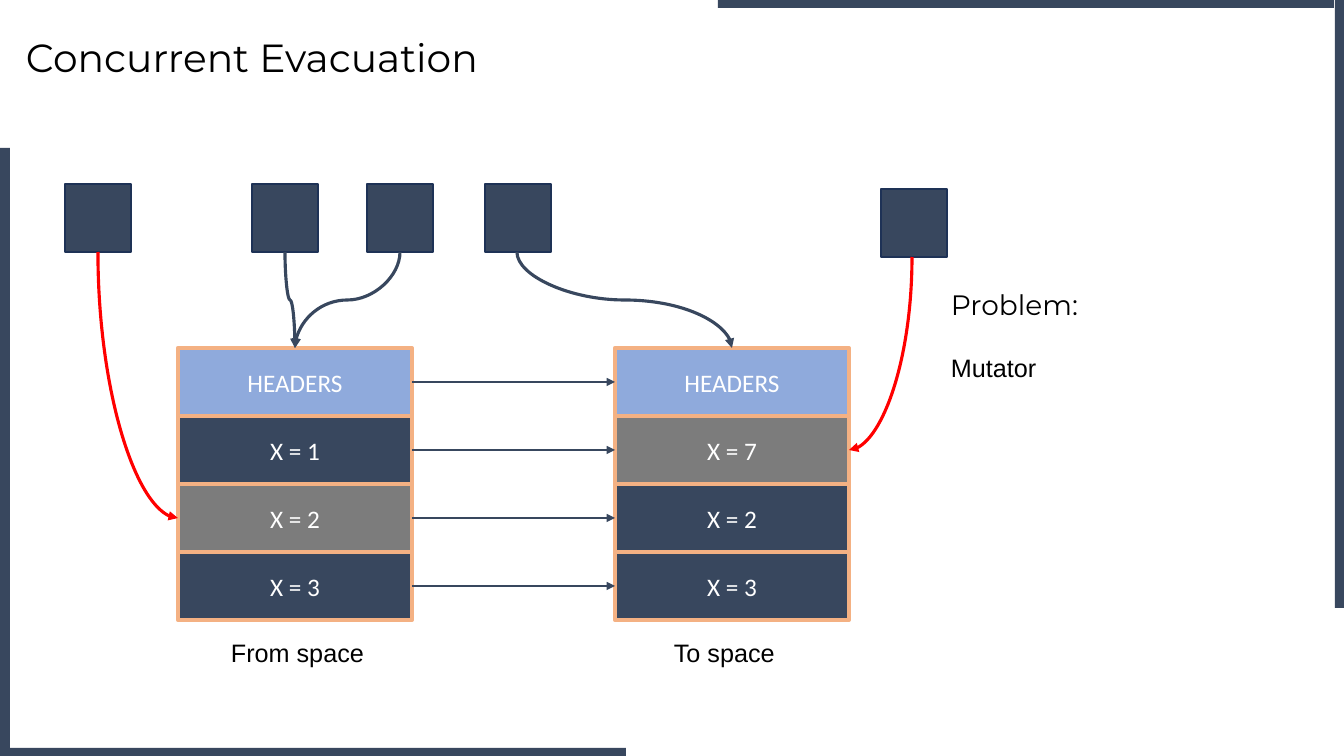
from lxml import etree
from pptx import Presentation
from pptx import util as u
from pptx.dml.color import RGBColor
from pptx.enum import shapes, text
from pptx.oxml.ns import qn

HUES = {
    "navy": "38475E", "edge": "1E3256", "head": "8FAADC", "gray": "7C7C7C",
    "peach": "F4B183", "red": "FF0000", "black": "000000", "white": "FFFFFF",
}


def px(n):
    return u.Emu(round(n * 12192000 / 1344))


def hue(name):
    return RGBColor.from_string(HUES[name])


class Board:
    def __init__(self, slide):
        self.items = slide.shapes

    def style(self, para, size, font, color):
        for run in para.runs:
            run.font.size = u.Pt(size)
            run.font.name = font
            run.font.color.rgb = hue(color)

    def rect(self, x, y, w, h, fill="navy", line=None, width=1, label=""):
        box = self.items.add_shape(shapes.MSO_SHAPE.RECTANGLE, px(x), px(y), px(w), px(h))
        box.shadow.inherit = False
        box.fill.solid()
        box.fill.fore_color.rgb = hue(fill)
        if line:
            box.line.color.rgb = hue(line)
            box.line.width = u.Pt(width)
        else:
            box.line.fill.background()
        if label:
            frame = box.text_frame
            frame.text = label
            frame.vertical_anchor = text.MSO_ANCHOR.MIDDLE
            para = frame.paragraphs[0]
            para.alignment = text.PP_ALIGN.CENTER
            self.style(para, 18, "Calibri", "white")

    def note(self, x, y, w, h, lines, gap=0, wrap=True):
        box = self.items.add_textbox(px(x), px(y), px(w), px(h))
        frame = box.text_frame
        frame.word_wrap = wrap
        frame.auto_size = text.MSO_AUTO_SIZE.SHAPE_TO_FIT_TEXT
        frame.text = "\n".join(line[0] for line in lines)
        for para, (_, size, font) in zip(frame.paragraphs, lines):
            self.style(para, size, font, "black")
        for para in frame.paragraphs[1:]:
            para.space_before = u.Pt(gap)

    def arrow(self, kind, x1, y1, x2, y2, color, width):
        link = self.items.add_connector(kind, px(x1), px(y1), px(x2), px(y2))
        link.line.color.rgb = hue(color)
        link.line.width = u.Pt(width)
        props = link._element.spPr
        etree.SubElement(props.find(qn("a:ln")), qn("a:tailEnd"), type="triangle")
        etree.SubElement(props, qn("a:effectLst"))
        return props

    def curve(self, x1, y1, x2, y2, color="navy", bend="curvedConnector3"):
        mid, level = (x1 + x2) / 2, (y1 + y2) / 2
        reach, rise = (y2 - y1) / 2, abs(x2 - x1) / 2
        side = 1 if x2 > x1 else -1
        props = self.arrow(
            shapes.MSO_CONNECTOR.CURVE, mid + side * reach, level - rise,
            mid - side * reach, level + rise, color, 2.25)
        turn = 270 if side > 0 else 90
        props.find(qn("a:xfrm")).set("rot", str(turn * 60000))
        props.find(qn("a:prstGeom")).set("prst", bend)

    def stack(self, x, cells):
        self.rect(x, TOP, WIDE, ROW * len(cells), line="edge")
        for i, (label, fill) in enumerate(cells):
            self.rect(x, TOP + i * ROW, WIDE, ROW, fill, "peach", 3, label)


TOP, ROW, WIDE = 348, 68, 234
FROM, TO = 178, 615


def main():
    deck = Presentation()
    deck.slide_width, deck.slide_height = px(1344), px(756)
    board = Board(deck.slides.add_slide(deck.slide_layouts[6]))

    board.note(16, 28, 833, 57, [("Concurrent Evacuation", 28, "Montserrat")])
    for bar in [(-6, 148, 16, 616), (10, 748, 616, 16),
                (1335, -8, 16, 616), (718, -8, 616, 16)]:
        board.rect(*bar)

    board.stack(FROM, [("HEADERS", "head"), ("X = 1", "navy"),
                       ("X = 2", "gray"), ("X = 3", "navy")])
    board.stack(TO, [("HEADERS", "head"), ("X = 7", "gray"),
                     ("X = 2", "navy"), ("X = 3", "navy")])
    for i in range(4):
        y = TOP + ROW * i + ROW // 2
        board.arrow(shapes.MSO_CONNECTOR.STRAIGHT, FROM + WIDE, y, TO, y, "navy", 1.5)

    for x, y in [(65, 184), (252, 184), (367, 184), (485, 184), (881, 189)]:
        board.rect(x, y, 66, 68, line="edge")
    for x, end in [(400, 295), (285, 295), (517, 732)]:
        board.curve(x, 252, end, TOP)
    board.curve(98, 252, FROM, 518, "red", "curvedConnector2")
    board.curve(912, 257, TO + WIDE, 450, "red", "curvedConnector2")

    board.note(221, 632, 154, 40, [("From space", 18, "Arial")], wrap=False)
    board.note(664, 632, 122, 40, [("To space", 18, "Arial")], wrap=False)
    board.note(941, 283, 319, 105, [("Problem:", 20, "Montserrat"),
                                    ("Mutator", 18, "Arial")], gap=22)
    deck.save("out.pptx")


if __name__ == "__main__":
    main()
